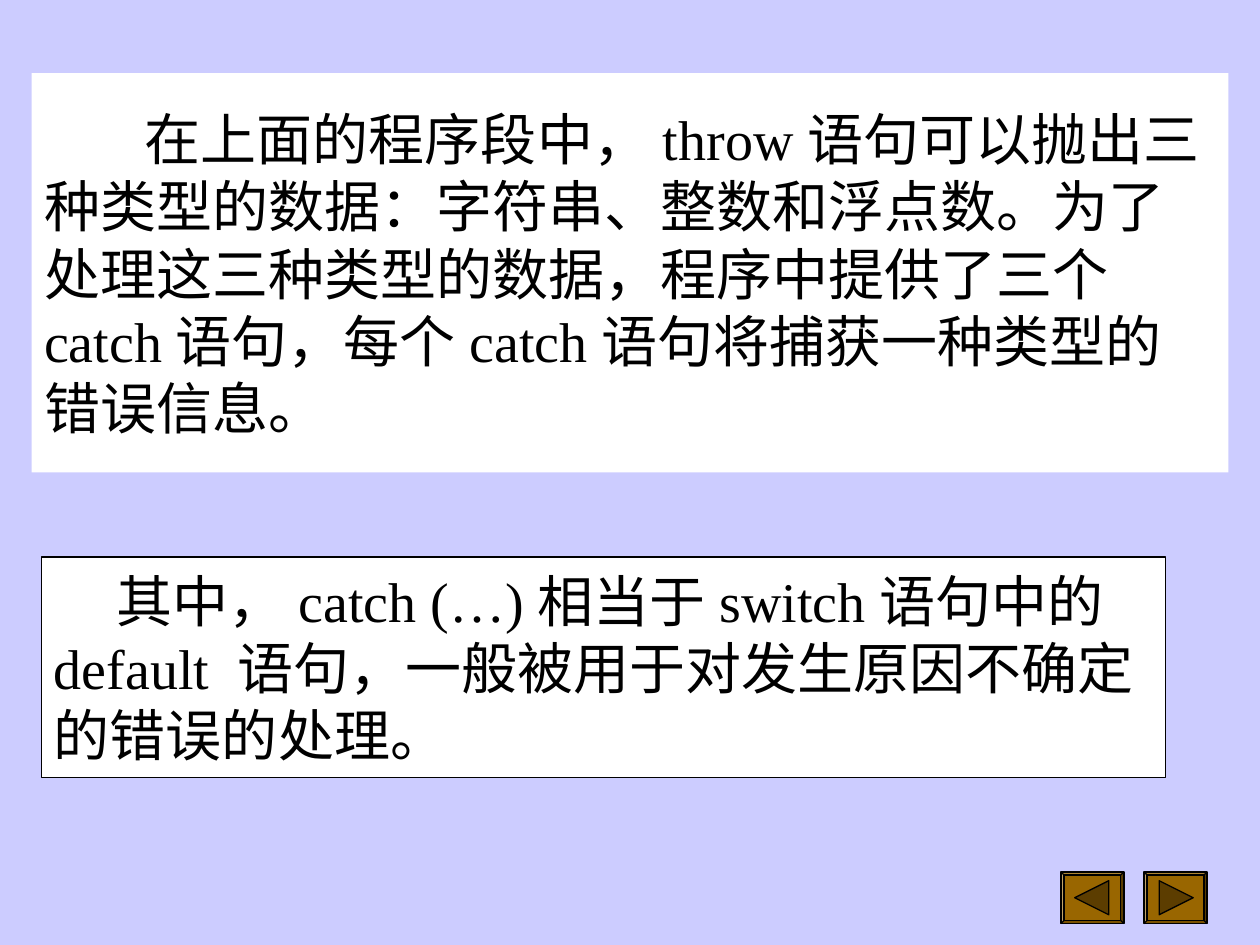
from lxml import etree
from pptx import Presentation
from pptx.dml.color import RGBColor
from pptx.enum.shapes import MSO_SHAPE
from pptx.enum.text import MSO_ANCHOR, MSO_AUTO_SIZE, PP_ALIGN
from pptx.oxml.ns import qn
from pptx.util import Inches, Pt

BEVEL, TRIANGLE = MSO_SHAPE.BEVEL, MSO_SHAPE.ISOSCELES_TRIANGLE
MIDDLE, LEFT, NO_FIT = MSO_ANCHOR.MIDDLE, PP_ALIGN.LEFT, MSO_AUTO_SIZE.NONE

LAVENDER = RGBColor(0xCC, 0xCC, 0xFF)
WHITE = RGBColor(0xFF, 0xFF, 0xFF)
BLACK = RGBColor(0, 0, 0)
BROWN = RGBColor(0x99, 0x66, 0x00)
DARK_BROWN = RGBColor(0x5C, 0x3D, 0x00)
LATIN_FONT, CHINESE_FONT = "Times New Roman", "Noto Sans CJK SC"

# Content: Chinese and Latin spans in reading order
THROW_TEXT = [
    "在上面的程序段中，", "throw",
    "语句可以抛出三种类型的数据：字符串、整数和浮点数。为了处理这三种类型的数据，程序中提供了三个",
    "catch", "语句，每个", "catch", "语句将捕获一种类型的错误信息。",
]
DEFAULT_TEXT = [
    "其中，", "catch (…)", "相当于", "switch", "语句中的", "default ",
    "语句，一般被用于对发生原因不确定的错误的处理。",
]
# Navigation buttons: left edge, triangle left edge, triangle rotation
BUTTONS = [(8.42, 8.53, -90), (9.08, 9.2, 90)]
BUTTON_TOP, BUTTON_WIDTH, BUTTON_HEIGHT = 6.92, 0.5, 0.41
TRIANGLE_TOP, TRIANGLE_SIZE = 6.99, 0.27


def fill_text(box, spans, indent):
    frame = box.text_frame
    frame.word_wrap = True
    frame.auto_size = NO_FIT
    frame.vertical_anchor = MIDDLE
    para = frame.paragraphs[0]
    para.alignment = LEFT
    para.space_before = Pt(8)
    para.line_spacing = Pt(38.4)
    properties = para._p.get_or_add_pPr()
    properties.set("marL", "0")
    properties.set("indent", str(Inches(indent)))
    etree.SubElement(properties, qn("a:buNone"))
    for text in spans:
        span = para.add_run()
        span.text = text
        font = span.font
        font.size = Pt(32)
        font.color.rgb = BLACK
        font.name = LATIN_FONT if text[0].isascii() else CHINESE_FONT
        east_asian = etree.SubElement(font._element, qn("a:ea"))
        east_asian.set("typeface", font.name)


def add_filled_shape(page, kind, left, top, width, height, color):
    shape = page.shapes.add_shape(
        kind, Inches(left), Inches(top), Inches(width), Inches(height))
    shape.shadow.inherit = False
    shape.fill.solid()
    shape.fill.fore_color.rgb = color
    shape.line.color.rgb = BLACK
    shape.line.width = Pt(0.75)
    return shape


deck = Presentation()
deck.slide_width, deck.slide_height = Inches(10), Inches(7.5)
page = deck.slides.add_slide(deck.slide_layouts[1])
page.background.fill.solid()
page.background.fill.fore_color.rgb = LAVENDER
title = page.shapes.title._element
title.getparent().remove(title)

# Explanation of throw and catch
body = page.placeholders[1]
body.left, body.top = Inches(0.25), Inches(0.58)
body.width, body.height = Inches(9.5), Inches(3.17)
body.fill.solid()
body.fill.fore_color.rgb = WHITE
fill_text(body, THROW_TEXT, 0.8)

# Navigation buttons
for left, triangle_left, rotation in BUTTONS:
    button = add_filled_shape(page, BEVEL, left, BUTTON_TOP,
                              BUTTON_WIDTH, BUTTON_HEIGHT, BROWN)
    button.adjustments[0] = 0.06
    triangle = add_filled_shape(page, TRIANGLE, triangle_left, TRIANGLE_TOP,
                                TRIANGLE_SIZE, TRIANGLE_SIZE, DARK_BROWN)
    triangle.rotation = rotation

# Note on catch (…)
note = add_filled_shape(page, MSO_SHAPE.RECTANGLE, 0.33, 4.42, 8.92, 1.75, WHITE)
fill_text(note, DEFAULT_TEXT, 0.5)

deck.save("out.pptx")
